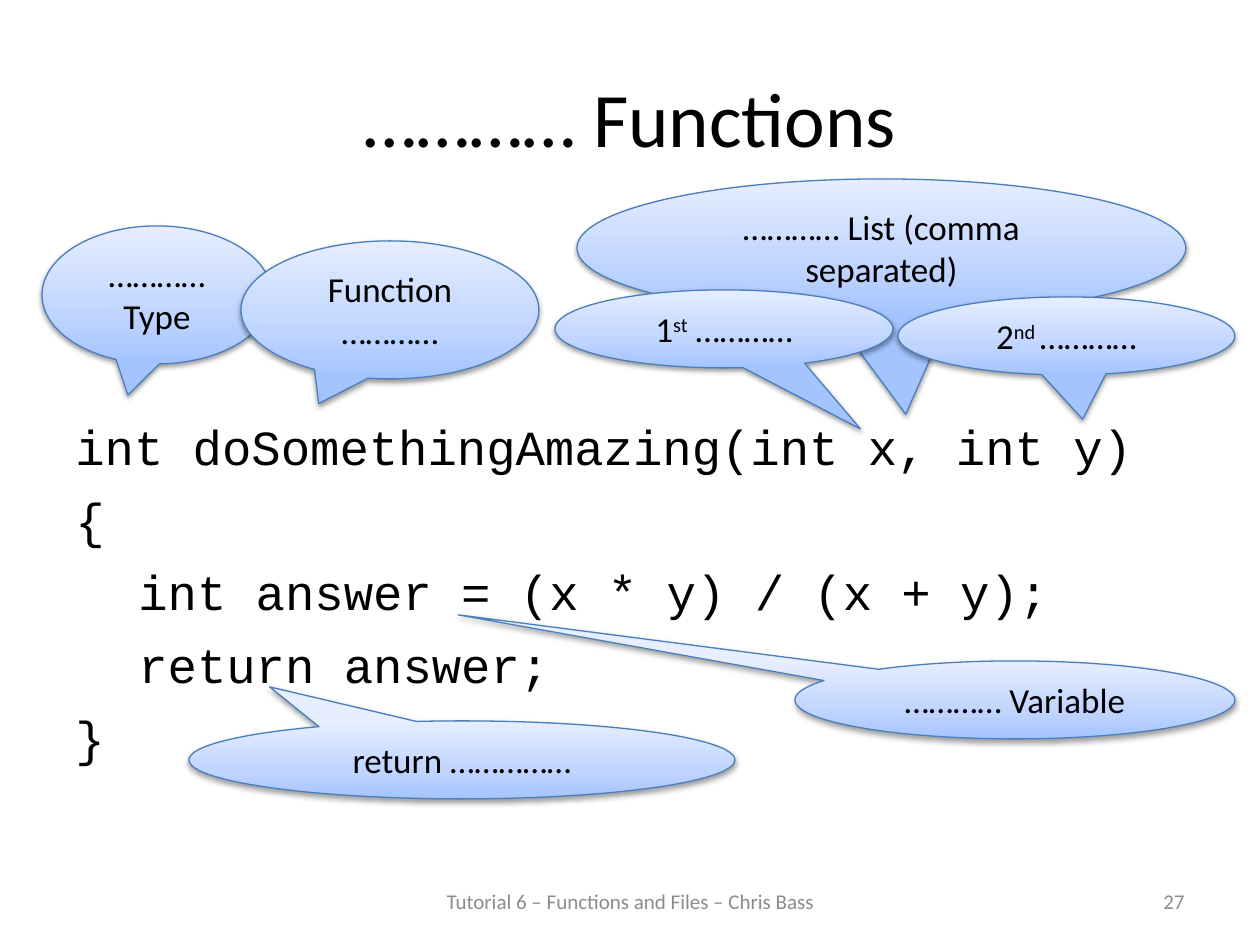
from lxml.etree import SubElement
from pptx import Presentation
from pptx.dml.color import RGBColor
from pptx.enum.shapes import MSO_SHAPE as Shape
from pptx.enum.text import MSO_ANCHOR as Anchor, MSO_AUTO_SIZE as AutoSize, PP_ALIGN as Align
from pptx.oxml.ns import qn
from pptx.util import Emu, Pt

PX = 914400 // 126
COLORS = {
    "text": "000000", "footer": "8C8C8C", "outline": "4B7EBC", "shadow": "000000",
    "bottom": "A4C4FF", "middle": "BFD4FF", "top": "E6EEFF",
}
BODY_FONT, CODE_FONT = "Calibri", "Courier New"

CODE = [
    (0, "int doSomethingAmazing(int x, int y)"),
    (0, "{"),
    (1, "int answer = (x * y) / (x + y);"),
    (1, "return answer;"),
    (0, "}"),
]
CODE_INDENTS = [(48, -48), (102, -39)]  # left margin, first line

# Box in px, tip of the tail relative to the box centre, runs (text, raised)
CALLOUTS = [
    ((42, 226, 230, 138), (-0.126, 0.726), [("………… Type", False)]),
    ((241, 241, 298, 138), (-0.239, 0.678), [("Function …………", False)]),
    ((577, 179, 609, 138), (0.04, 1.205), [("………… List (comma separated)", False)]),
    ((555, 290, 338, 78), (0.404, 1.283),
     [("1", False), ("st", True), (" …………", False)]),
    ((898, 297, 337, 78), (0.048, 1.068),
     [("2", False), ("nd ", True), ("…………", False)]),
    ((189, 721, 546, 78), (-0.352, -0.937), [("return ……………", False)]),
    ((795, 661, 440, 78), (-1.265, -1.091), [("………… Variable", False)]),
]


def px(*lengths):
    return [Emu(length * PX) for length in lengths]


def rgb(name):
    return RGBColor.from_string(COLORS[name])


def add_run(paragraph, text, size, color="text", font=BODY_FONT, raised=False):
    run = paragraph.add_run()
    run.text = text
    run.font.size = Pt(size)
    run.font.name = font
    run.font.color.rgb = rgb(color)
    if raised:
        run.font._element.set("baseline", "30000")


def add_frame(slide, box, anchor=Anchor.MIDDLE):
    frame = slide.shapes.add_textbox(*px(*box)).text_frame
    frame.word_wrap = True
    frame.vertical_anchor = anchor
    return frame


def add_label(slide, box, text, size, align, color="text"):
    paragraph = add_frame(slide, box).paragraphs[0]
    paragraph.alignment = align
    add_run(paragraph, text, size, color)


def add_code(slide, box):
    frame = add_frame(slide, box, Anchor.TOP)
    for number, (level, line) in enumerate(CODE):
        paragraph = frame.add_paragraph() if number else frame.paragraphs[0]
        paragraph.level = level
        paragraph.space_before = Pt(8)
        margin, indent = px(*CODE_INDENTS[level])
        properties = paragraph._p.get_or_add_pPr()
        properties.set("marL", str(margin))
        properties.set("indent", str(indent))
        add_run(paragraph, line, 28, font=CODE_FONT)


def add_color(parent, name):
    return SubElement(parent, qn("a:srgbClr"), val=COLORS[name])


def shade(shape):
    """Fill with a three-stop gradient that runs from the bottom up."""
    shape.fill.gradient()
    shape.fill.gradient_angle = 90
    stops = shape._element.spPr.find(qn("a:gradFill")).find(qn("a:gsLst"))
    for stop in list(stops):
        stops.remove(stop)
    for position, name in ((0, "bottom"), (35, "middle"), (100, "top")):
        add_color(SubElement(stops, qn("a:gs"), pos=str(position * 1000)), name)


def cast_shadow(shape):
    shape.shadow.inherit = False
    effects = shape._element.spPr.find(qn("a:effectLst"))
    shadow = SubElement(effects, qn("a:outerShdw"), blurRad=str(Pt(3.1)),
                        dist=str(Pt(1.6)), dir="5400000", rotWithShape="0")
    SubElement(add_color(shadow, "shadow"), qn("a:alpha"), val="38000")


def add_callout(slide, box, tip, runs):
    callout = slide.shapes.add_shape(Shape.OVAL_CALLOUT, *px(*box))
    for index, offset in enumerate(tip):
        callout.adjustments[index] = offset
    shade(callout)
    callout.line.color.rgb = rgb("outline")
    callout.line.width = Pt(0.75)
    cast_shadow(callout)
    frame = callout.text_frame
    frame.word_wrap = True
    frame.auto_size = AutoSize.SHAPE_TO_FIT_TEXT
    frame.vertical_anchor = Anchor.TOP
    paragraph = frame.paragraphs[0]
    paragraph.alignment = Align.CENTER
    for text, raised in runs:
        add_run(paragraph, text, 20, raised=raised)


def main():
    deck = Presentation()
    deck.slide_width, deck.slide_height = px(1260, 945)
    slide = deck.slides.add_slide(deck.slide_layouts[6])
    add_label(slide, (63, 38, 1134, 158), "………… Functions", 44, Align.CENTER)
    add_label(slide, (431, 876, 399, 50), "Tutorial 6 – Functions and Files – Chris Bass",
              12, Align.CENTER, "footer")
    add_label(slide, (903, 876, 294, 50), "27", 12, Align.RIGHT, "footer")
    add_code(slide, (63, 410, 1134, 399))
    for box, tip, runs in CALLOUTS:
        add_callout(slide, box, tip, runs)
    deck.save("out.pptx")


if __name__ == "__main__":
    main()
